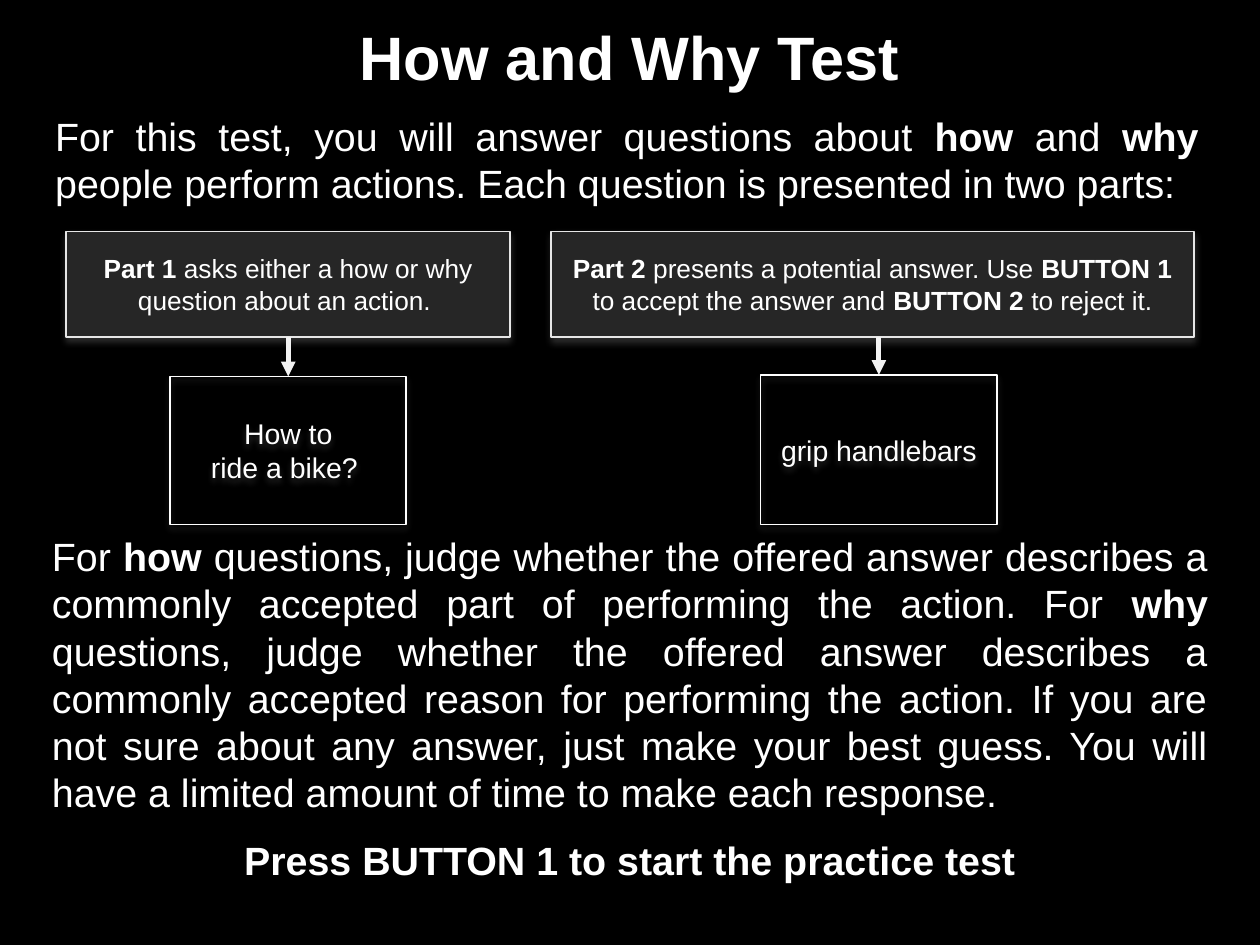
from lxml.etree import SubElement as Sub
from pptx import Presentation
from pptx.dml.color import RGBColor as RGB
from pptx.enum.shapes import MSO_CONNECTOR as Line, MSO_SHAPE as Kind
from pptx.enum.text import MSO_ANCHOR as Anchor, MSO_AUTO_SIZE as Fit, PP_ALIGN as Align
from pptx.oxml.ns import qn
from pptx.util import Inches, Pt

HUES = {"back": "000000", "text": "FFFFFF", "panel": "262626", "edge": "E6E6E6",
        "arrow": "F2F2F2", "shade": "808080"}

TITLE = "How and Why Test"
INTRO = ("For this test, you will answer questions about **how** and **why** people "
         "perform actions. Each question is presented in two parts:")
RULES = ("For **how **questions, judge whether the offered answer describes a commonly "
         "accepted part of performing the action. For **why **questions, judge whether the "
         "offered answer describes a commonly accepted reason for performing the action. "
         "If you are not sure about any answer, just make your best guess. You will have "
         "a limited amount of time to make each response.")
START = "**Press BUTTON 1 to start the practice test**"

PARTS = [
    {"text": "**Part 1** asks either a how or why question about an action. ",
     "left": 0.42, "width": 2.82, "sample": ["How to", "ride a bike? "],
     "mid": 1.83, "top": 2.39},
    {"text": "**Part 2** presents a potential answer. Use **BUTTON 1 **to accept the "
             "answer and **BUTTON 2** to reject it.",
     "left": 3.5, "width": 4.08, "sample": ["grip handlebars"],
     "mid": 5.58, "top": 2.38},
]
PART_TOP, PART_HIGH = 1.47, 0.67
CARD_WIDE, CARD_END = 1.5, 3.33


def hue(name):
    return RGB.from_string(HUES[name])


def write(frame, text, size, align=Align.CENTER, first=True, before=0):
    para = frame.paragraphs[0] if first else frame.add_paragraph()
    para.alignment = align
    if before:
        para.space_before = Pt(before)
    for i, piece in enumerate(text.split("**")):
        if piece:
            run = para.add_run()
            run.text = piece
            font = run.font
            font.name, font.size, font.bold = "Arial", Pt(size), i % 2 == 1
            font.color.rgb = hue("text")


def area(slide, left, top, width, height):
    frame = slide.shapes.add_textbox(*map(Inches, (left, top, width, height))).text_frame
    frame.word_wrap = True
    frame.auto_size = Fit.SHAPE_TO_FIT_TEXT
    frame.margin_left = frame.margin_right = Inches(0.08)
    frame.margin_top = frame.margin_bottom = Inches(0.04)
    return frame


def panel(slide, left, top, width, height, lines, size, edge, fill=None):
    box = slide.shapes.add_shape(Kind.RECTANGLE, *map(Inches, (left, top, width, height)))
    if fill:
        box.fill.solid()
        box.fill.fore_color.rgb = hue(fill)
    else:
        box.fill.background()
    box.line.color.rgb = hue(edge)
    box.line.width = Pt(0.75)
    box.shadow.inherit = False
    effect = box._element.spPr.find(qn("a:effectLst"))
    shade = Sub(effect, qn("a:outerShdw"), blurRad=str(Pt(3.1)), dist=str(Pt(1.8)),
                dir="5400000", rotWithShape="0")
    color = Sub(shade, qn("a:srgbClr"), val=HUES["shade"])
    Sub(color, qn("a:alpha"), val="35000")
    frame = box.text_frame
    frame.word_wrap = True
    frame.vertical_anchor = Anchor.MIDDLE
    for i, line in enumerate(lines):
        write(frame, line, size, first=i == 0)
    return box


def arrow(slide, part, card, mid, top):
    start = PART_TOP + PART_HIGH
    link = slide.shapes.add_connector(Line.STRAIGHT, *map(Inches, (mid, start, mid, top)))
    if abs(part.left + part.width / 2 - Inches(mid)) < Inches(0.01):
        link.begin_connect(part, 2)
    link.end_connect(card, 0)
    link.line.color.rgb = hue("arrow")
    link.line.width = Pt(2.25)
    Sub(link.line._get_or_add_ln(), qn("a:tailEnd"), type="triangle")
    Sub(link._element.spPr, qn("a:effectLst"))


def main():
    deck = Presentation()
    deck.slide_width, deck.slide_height = Inches(8), Inches(6)
    slide = deck.slides.add_slide(deck.slide_layouts[6])
    slide.background.fill.solid()
    slide.background.fill.fore_color.rgb = hue("back")

    write(area(slide, 0.27, 0.67, 7.42, 0.99), INTRO, 18, Align.JUSTIFY)
    write(area(slide, 0.13, 0.08, 7.73, 0.55), f"**{TITLE}**", 28)

    for item in PARTS:
        mid, top = item["mid"], item["top"]
        card = panel(slide, mid - CARD_WIDE / 2, top, CARD_WIDE, CARD_END - top,
                     item["sample"], 13, "text")
        part = panel(slide, item["left"], PART_TOP, item["width"], PART_HIGH,
                     [item["text"]], 12, "edge", "panel")
        arrow(slide, part, card, mid, top)

    rules = area(slide, 0.25, 3.34, 7.5, 2.34)
    write(rules, RULES, 18, Align.JUSTIFY)
    write(rules, START, 18, first=False, before=9.2)

    deck.save("out.pptx")


if __name__ == "__main__":
    main()
